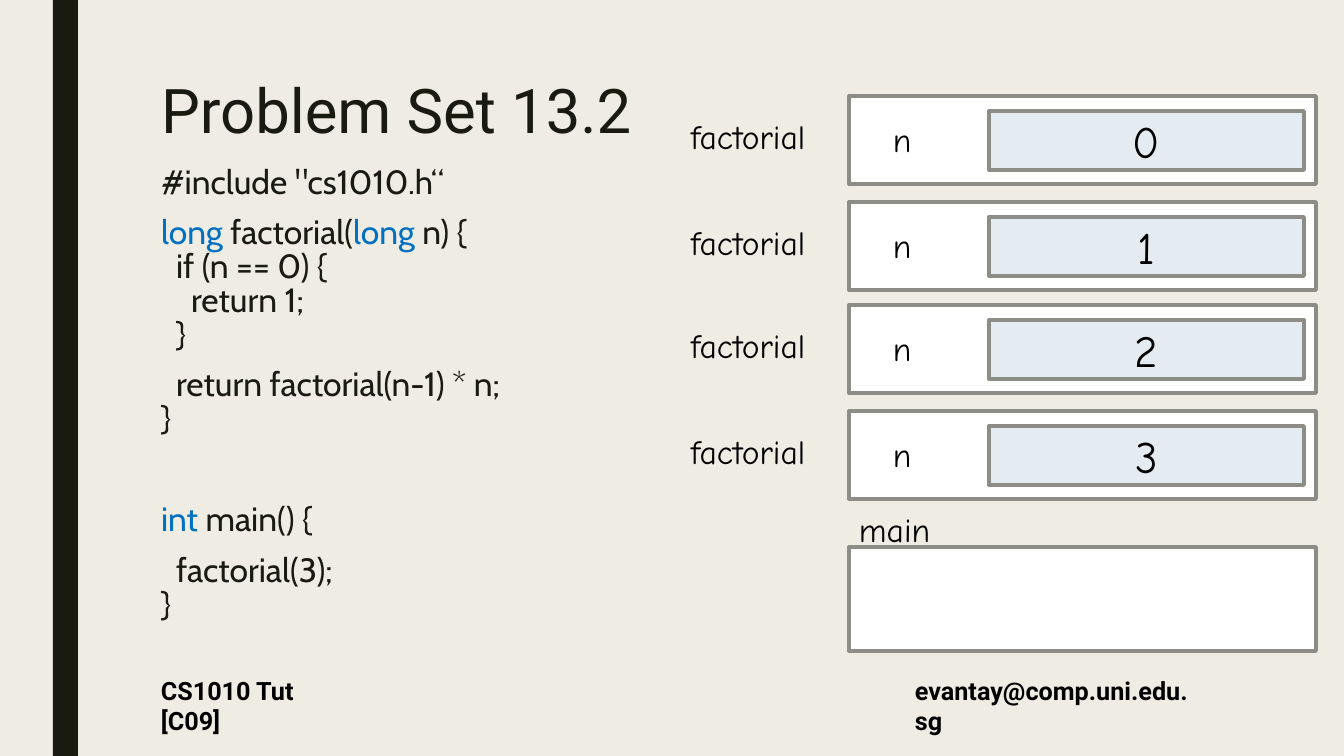
from pptx import Presentation
from pptx import util as u
from pptx.dml import color
from pptx.enum import shapes, text

SCALE = 914400 / 100.8
INK, KEYWORD, BLACK = "191B0E", "0070C0", "000000"
WHITE, GREY, PALE = "FFFFFF", "8C8D86", "E4ECF1"


def add_run(paragraph, words, size, font, hex_color, bold=False):
    """Add one formatted run to a paragraph."""
    run = paragraph.add_run()
    run.text = words
    run.font.size = u.Pt(size)
    run.font.name = font
    run.font.bold = bold
    run.font.color.rgb = color.RGBColor.from_string(hex_color)


def add_box(slide, box, fill=None, line=None):
    """Add a rectangle, or a text box when no fill is given; box is in pixels."""
    place = [round(length * SCALE) for length in box]
    if fill is None:
        shape = slide.shapes.add_textbox(*place)
        shape.text_frame.word_wrap = True
        return shape
    shape = slide.shapes.add_shape(shapes.MSO_SHAPE.RECTANGLE, *place)
    shape.shadow.inherit = False
    shape.fill.solid()
    shape.fill.fore_color.rgb = color.RGBColor.from_string(fill)
    if line is None:
        shape.line.fill.background()
    else:
        shape.line.color.rgb = color.RGBColor.from_string(line)
        shape.line.width = u.Pt(2.75)
    return shape


presentation = Presentation()
presentation.slide_width = round(1344 * SCALE)
presentation.slide_height = round(756 * SCALE)
slide = presentation.slides.add_slide(presentation.slide_layouts[1])
slide.background.fill.solid()
slide.background.fill.fore_color.rgb = color.RGBColor.from_string("EFEDE3")

# Side bar and footers
add_box(slide, (53, 0, 25, 756), INK)
footers = [("CS1010 Tut [C09]", 151, 212), ("evantay@comp.uni.edu.sg", 905, 304)]
for words, left, width in footers:
    footer = add_box(slide, (left, 670, width, 70))
    add_run(footer.text_frame.paragraphs[0], words, 18, "Roboto", BLACK, bold=True)

# Title and code placeholders
title, code = slide.placeholders
for shape, box in [(title, (151, 76, 1058, 163)), (code, (151, 162, 1089, 484))]:
    shape.left, shape.top, shape.width, shape.height = [round(n * SCALE) for n in box]
    shape.text_frame.vertical_anchor = text.MSO_ANCHOR.TOP
    shape.text_frame.auto_size = text.MSO_AUTO_SIZE.NONE

paragraph = title.text_frame.paragraphs[0]
paragraph.alignment = text.PP_ALIGN.LEFT
paragraph.line_spacing = 0.89
add_run(paragraph, "Problem Set 13.2", 44, "Roboto", INK)

# Code lines: indent level, space before in points, runs
code_lines = [
    (0, 10, [('#include "cs1010.h“', INK)]),
    (0, 12, [("long", KEYWORD), (" factorial(", INK), ("long", KEYWORD), (" n) {", INK)]),
    (1, 0, [("if (n == 0) {", INK)]),
    (2, 0, [("return 1;", INK)]),
    (1, 0, [("}", INK)]),
    (1, 12, [("return factorial(n-1) * n;", INK)]),
    (0, 0, [("}", INK)]),
    (0, 48, [("int", KEYWORD), (" main() {", INK)]),
    (1, 12, [("factorial(3);", INK)]),
    (0, 0, [("}", INK)]),
]
for index, (level, space, runs) in enumerate(code_lines):
    frame = code.text_frame
    paragraph = frame.add_paragraph() if index else frame.paragraphs[0]
    paragraph.line_spacing = 0.84
    paragraph.space_before = u.Pt(space)
    paragraph.space_after = u.Pt(0)
    properties = paragraph._p.get_or_add_pPr()
    properties.set("marL", str(round(level * 15 * SCALE)))
    properties.set("indent", "0")
    properties.get_or_add_buNone() if hasattr(properties, "get_or_add_buNone") else \
        properties.append(properties.makeelement(
            "{http://schemas.openxmlformats.org/drawingml/2006/main}buNone", {}))
    for words, hex_color in runs:
        add_run(paragraph, words, 24, "Cabin", hex_color)

# Call stack: main at the bottom, one frame for each factorial call
add_box(slide, (849, 547, 467, 104), WHITE, GREY)
labels = [("main", 849, 504, 116)]
for n, top in enumerate([96, 202, 305, 411]):
    add_box(slide, (849, top, 467, 88), WHITE, GREY)
    value = add_box(slide, (989, top + 15, 315, 59), PALE, GREY)
    value.text_frame.vertical_anchor = text.MSO_ANCHOR.MIDDLE
    paragraph = value.text_frame.paragraphs[0]
    paragraph.alignment = text.PP_ALIGN.CENTER
    add_run(paragraph, str(n), 32, "Comic Neue", BLACK)
    labels += [("factorial", 681, top + 15, 188), ("n", 883, top + 18, 45)]
for words, left, top, width in labels:
    label = add_box(slide, (left, top, width, 50))
    add_run(label.text_frame.paragraphs[0], words, 24, "Comic Neue", BLACK)

presentation.save("out.pptx")
